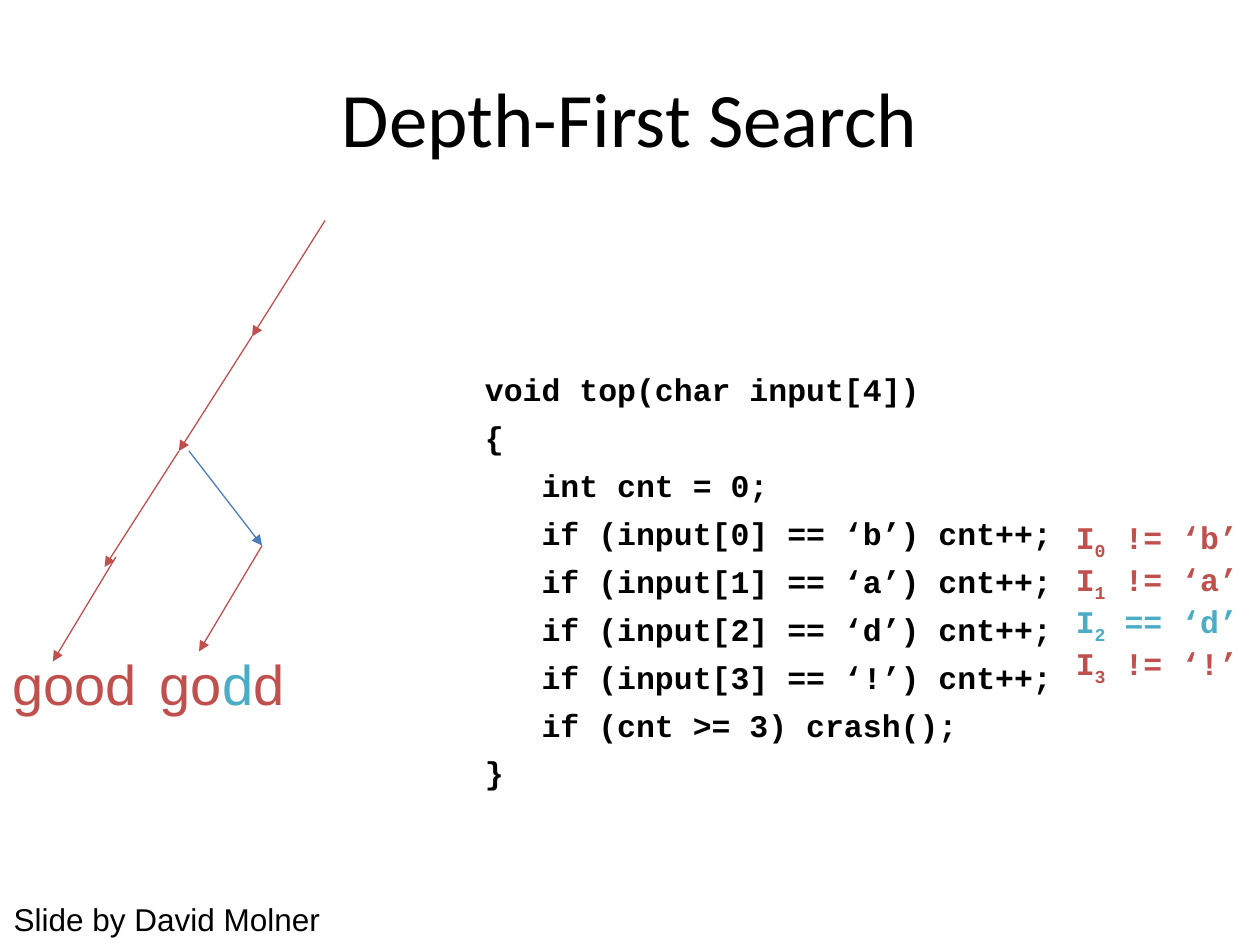
from pptx import Presentation
from pptx.dml.color import RGBColor
from pptx.enum.shapes import MSO_CONNECTOR
from pptx.enum.text import MSO_ANCHOR, PP_ALIGN
from pptx.oxml.ns import qn
from pptx.util import Inches, Pt
from lxml.etree import SubElement

THEME = {
    "ink": "000000", "red": "C0504D", "blue": "4A7EBB", "teal": "4BACC6",
    "head": ("Calibri", 44), "body": ("Arial", 18),
    "word": ("Arial", 32), "code": ("Courier New", 18),
    "line": 0.75, "gap": 5.75,
}

TITLE = "Depth-First Search"
CREDIT = "Slide by David Molner"
CODE = """void top(char input[4])
{
   int cnt = 0;
   if (input[0] == ‘b’) cnt++;
   if (input[1] == ‘a’) cnt++;
   if (input[2] == ‘d’) cnt++;
   if (input[3] == ‘!’) cnt++;
   if (cnt >= 3) crash();
}"""
TESTS = [
    ("!= ‘b’", "red"), ("!= ‘a’", "red"),
    ("== ‘d’", "teal"), ("!= ‘!’", "red"),
]
WORDS = [
    (0, [("good", "red")]),
    (1.17, [("go", "red"), ("d", "teal"), ("d", "red")]),
]
EDGES = [
    ((2.58, 1.75), (2, 2.67), "red"),
    ((2, 2.67), (1.42, 3.58), "red"),
    ((1.5, 3.58), (2.08, 4.33), "blue"),
    ((2.08, 4.33), (1.58, 5.17), "red"),
    ((1.42, 3.58), (0.83, 4.5), "red"),
    ((0.92, 4.42), (0.42, 5.25), "red"),
]


def tint(name):
    return RGBColor.from_string(THEME[name])


def style(run, kind, color):
    font = run.font
    font.name, size = THEME[kind]
    font.size = Pt(size)
    font.bold = kind == "code"
    font.color.rgb = tint(color)


def add_box(slide, area, top=0.05, wrap=True):
    box = slide.shapes.add_textbox(*map(Inches, area))
    frame = box.text_frame
    frame.word_wrap = wrap
    frame.margin_top = Inches(top)
    return frame


def add_text(slide, area, text, kind, top=0.05, wrap=True):
    frame = add_box(slide, area, top, wrap)
    frame.text = text
    for i, para in enumerate(frame.paragraphs):
        if i:
            para.space_before = Pt(THEME["gap"])
        for run in para.runs:
            style(run, kind, "ink")
    return frame


def add_runs(slide, area, parts, kind, top=0.05):
    para = add_box(slide, area, top).paragraphs[0]
    for text, color in parts:
        run = para.add_run()
        run.text = text
        style(run, kind, color)
    return para


def add_edge(slide, start, end, color):
    edge = slide.shapes.add_connector(
        MSO_CONNECTOR.STRAIGHT, *map(Inches, start + end))
    edge.line.color.rgb = tint(color)
    edge.line.width = Pt(THEME["line"])
    SubElement(edge.line._get_or_add_ln(), qn("a:tailEnd"), type="triangle")
    SubElement(edge._element.spPr, qn("a:effectLst"))


def main():
    deck = Presentation()
    deck.slide_width, deck.slide_height = Inches(10), Inches(7.5)
    slide = deck.slides.add_slide(deck.slide_layouts[6])

    head = add_text(slide, (0.5, 0.3, 9, 1.25), TITLE, "head")
    head.vertical_anchor = MSO_ANCHOR.MIDDLE
    head.paragraphs[0].alignment = PP_ALIGN.CENTER

    for edge in EDGES:
        add_edge(slide, *edge)
    for left, parts in WORDS:
        add_runs(slide, (left, 5.11, 1.67, 0.64), parts, "word")

    add_text(slide, (3.75, 2.5, 5.67, 2.27), CODE, "code", top=0.44)
    for i, (test, color) in enumerate(TESTS):
        parts = [(text, color) for text in ("I", str(i), " " + test)]
        area = (8.44, 4 + i / 3, 1.56, 0.17)
        para = add_runs(slide, area, parts, "code", top=0.11)
        para.runs[1]._r.get_or_add_rPr().set("baseline", "-25000")

    add_text(slide, (0.01, 7.09, 2.63, 0.4), CREDIT, "body", wrap=False)
    deck.save("out.pptx")


if __name__ == "__main__":
    main()
